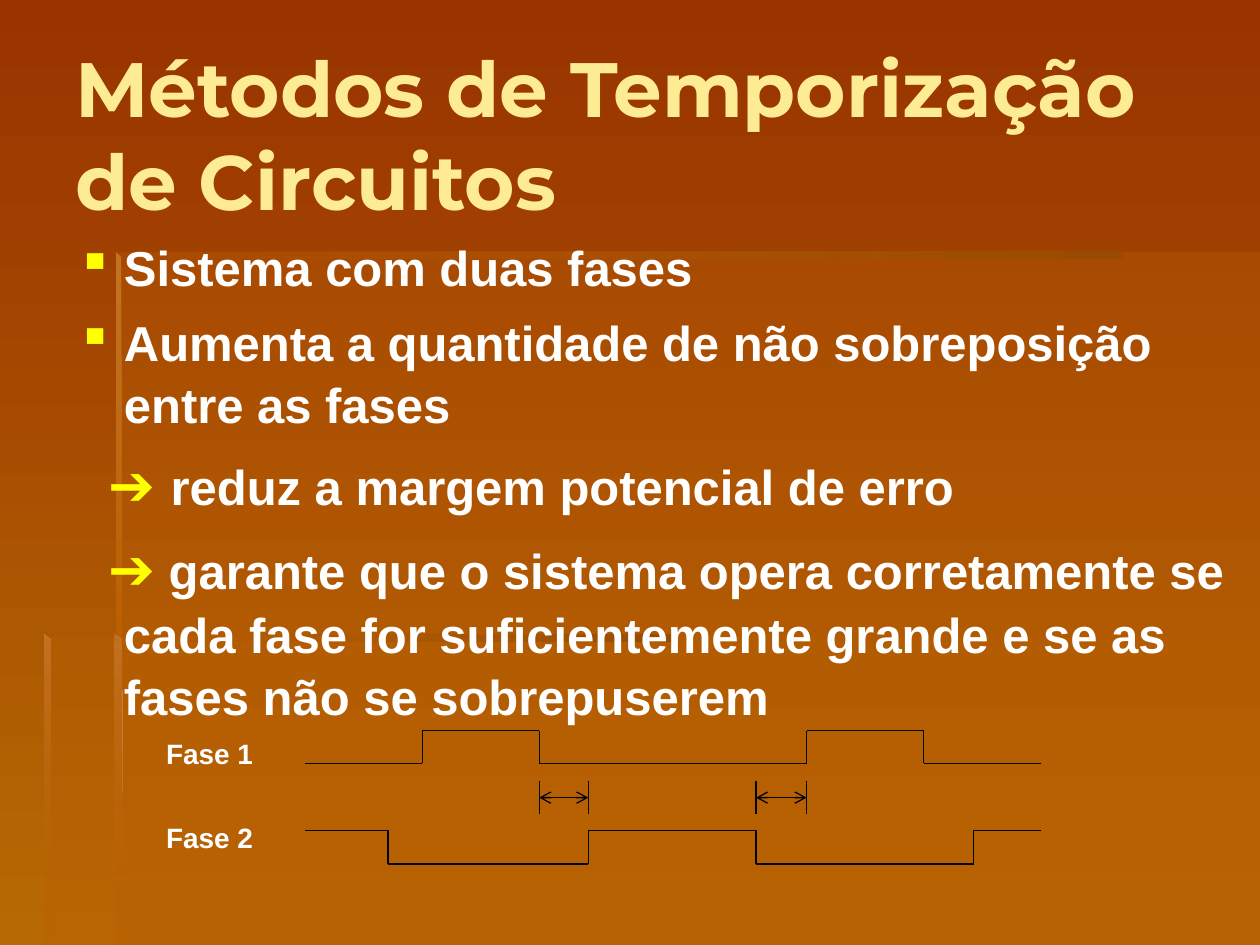
from itertools import pairwise

from lxml import etree
from pptx import Presentation
from pptx.dml.color import RGBColor
from pptx.enum.shapes import MSO_CONNECTOR
from pptx.enum.text import MSO_ANCHOR
from pptx.oxml.ns import qn
from pptx.util import Cm, Pt

STRAIGHT = MSO_CONNECTOR.STRAIGHT
MIDDLE = MSO_ANCHOR.MIDDLE
COLORS = {
    name: RGBColor.from_string(value)
    for name, value in {
        "top": "993300", "bottom": "B76A03", "panel": "BB5F03",
        "dark": "984D02", "light": "C27221", "title": "FEEC94",
        "text": "FFFFFF", "marker": "FFFF00", "signal": "000000",
    }.items()
}


def add_text(left, top, width, height, paragraphs, font_name, size, color):
    box = slide.shapes.add_textbox(Cm(left), Cm(top), Cm(width), Cm(height))
    frame = box.text_frame
    frame.word_wrap = True
    for number, text in enumerate(paragraphs):
        paragraph = frame.paragraphs[0] if number == 0 else frame.add_paragraph()
        paragraph.text = text
        paragraph.font.name = font_name
        paragraph.font.size = Pt(size)
        paragraph.font.bold = True
        paragraph.font.color.rgb = COLORS[color]
    return frame


def add_line(start, end, arrows=False):
    line = slide.shapes.add_connector(
        STRAIGHT, Cm(start[0]), Cm(start[1]), Cm(end[0]), Cm(end[1]))
    line.line.color.rgb = COLORS["signal"]
    line.line.width = Pt(0.75)
    if arrows:
        outline = line.line._get_or_add_ln()
        for tag in ("a:headEnd", "a:tailEnd"):
            etree.SubElement(outline, qn(tag), type="arrow")
    etree.SubElement(line.element.spPr, qn("a:effectLst"))


prs = Presentation()
prs.slide_width, prs.slide_height = Cm(25.4), Cm(19.05)
slide = prs.slides.add_slide(prs.slide_layouts[6])

backdrop = slide.background.fill
backdrop.gradient()
backdrop.gradient_angle = 270
for stop, color in zip(backdrop.gradient_stops, ("top", "bottom")):
    stop.color.rgb = COLORS[color]

decorations = [
    ([(2.34, 12.83), (2.34, 19.05), (25.4, 19.05), (25.4, 12.83)],
     ["panel"], [30], 0),
    ([(2.39, 12.85), (0.91, 12.85), (0.91, 19.05), (25.4, 19.05),
      (25.4, 5.08), (2.39, 5.08)], ["panel"], [30], 0),
    ([(2.34, 5.08), (2.34, 5.21), (22.63, 5.21), (22.63, 5.08)],
     ["dark", "panel"], [100, 0], 180),
    ([(2.34, 5.08), (2.34, 12.95), (2.46, 12.95), (2.44, 5.18)],
     ["light", "panel"], [100, 100], 270),
    ([(2.31, 19.05), (2.46, 19.05), (2.44, 12.9), (2.31, 12.8)],
     ["light", "panel"], [100, 0], 270),
    ([(0.89, 12.8), (0.89, 12.93), (13.59, 12.93), (13.59, 12.8)],
     ["dark", "panel"], [100, 0], 180),
    ([(0.89, 12.8), (0.89, 19.05), (1.02, 19.05), (1.02, 12.93)],
     ["light", "panel"], [100, 10], 270),
]
for corners, colors, opacities, angle in decorations:
    points = [(Cm(x), Cm(y)) for x, y in corners]
    builder = slide.shapes.build_freeform(*points[0])
    builder.add_line_segments(points[1:], close=True)
    decoration = builder.convert_to_shape()
    decoration.shadow.inherit = False
    decoration.line.fill.background()
    if len(colors) == 1:
        decoration.fill.solid()
        decoration.fill.fore_color.rgb = COLORS[colors[0]]
    else:
        decoration.fill.gradient()
        decoration.fill.gradient_angle = angle
        for stop, color in zip(decoration.fill.gradient_stops, colors):
            stop.color.rgb = COLORS[color]
    tints = decoration.element.spPr.iter(qn("a:srgbClr"))
    for tint, opacity in zip(list(tints), opacities):
        if opacity < 100:
            etree.SubElement(tint, qn("a:alpha"), val=str(opacity * 1000))

title = add_text(1.27, 0.69, 23.29, 3.99, ["Métodos de Temporização de Circuitos"],
                 "Montserrat", 44, "title")
title.vertical_anchor = MIDDLE

topics = ["Sistema com duas fases",
          "Aumenta a quantidade de não sobreposição entre as fases"]
body = add_text(1.3, 4.6, 24.1, 9.93, topics + ["", ""], "Arial", 28, "text")
consequences = [
    ("➔ ", "reduz a margem potencial de erro"),
    ("➔", " garante que o sistema opera corretamente se cada fase for "
          "suficientemente grande e se as fases não se sobrepuserem"),
]
for paragraph, (arrow, consequence) in zip(body.paragraphs[2:], consequences):
    marker = paragraph.add_run()
    marker.text = arrow
    marker.font.size = Pt(32)
    marker.font.color.rgb = COLORS["marker"]
    paragraph.add_run().text = consequence
for number, paragraph in enumerate(body.paragraphs):
    paragraph.space_before = Pt(7)
    paragraph.line_spacing = 1.06
    is_topic = number < len(topics)
    properties = paragraph._p.get_or_add_pPr()
    properties.set("marL", str(Cm(0.95)))
    properties.set("indent", str(Cm(-0.95 if is_topic else -0.32)))
    if is_topic:
        bullet_color = etree.Element(qn("a:buClr"))
        etree.SubElement(bullet_color, qn("a:srgbClr"), val=str(COLORS["marker"]))
        bullet = etree.Element(qn("a:buChar"), char="▪")
        position = properties.index(properties.find(qn("a:defRPr")))
        properties.insert(position, bullet_color)
        properties.insert(position + 1, bullet)

add_text(3.1, 14.73, 5.05, 1.68, ["Fase 1"], "Arial", 16, "text")
add_text(3.1, 16.41, 6.4, 2.36, ["Fase 2"], "Arial", 16, "text")

START, END = 6.15, 20.98
waveforms = [
    (14.73, 15.39, False, [8.51, 10.87, 16.26, 18.62]),
    (16.74, 17.42, True, [7.82, 11.86, 15.24, 19.63]),
]
for high, low, is_high, edges in waveforms:
    level = high if is_high else low
    corners = [(START, level)]
    for edge in edges:
        corners.append((edge, level))
        level = low if level == high else high
        corners.append((edge, level))
    corners.append((END, level))
    for start, end in pairwise(corners):
        add_line(start, end)

for left, right in ((10.87, 11.86), (15.24, 16.26)):
    for x in (left, right):
        add_line((x, 15.75), (x, 16.41))
    add_line((left, 16.08), (right, 16.08), arrows=True)

prs.save("out.pptx")
